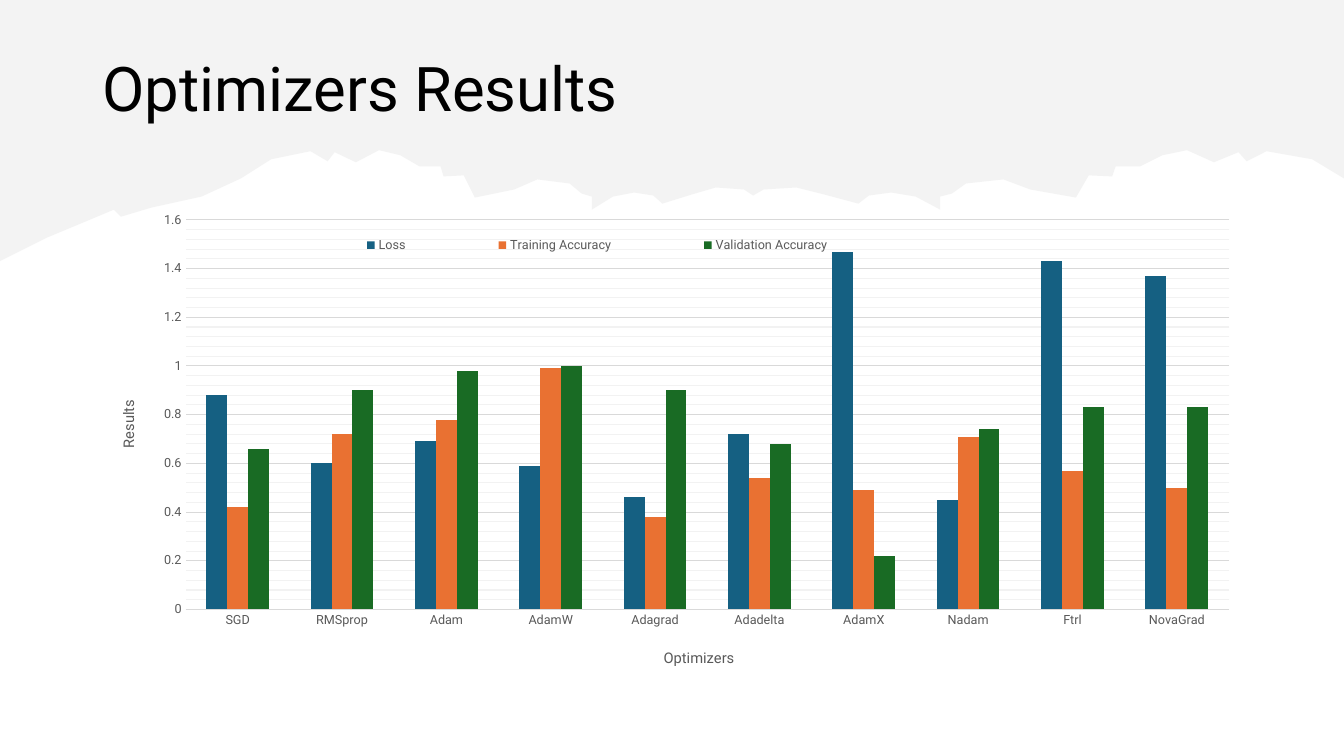
from dataclasses import dataclass

import pptx
import pptx.chart.data
import pptx.dml.color
import pptx.enum.chart
import pptx.enum.text
import pptx.oxml
import pptx.oxml.ns
import pptx.util
from lxml import etree

FONT = "Roboto"
GRAY = "595959"
GRID = "D9D9D9"
MINOR_GRID = "F2F2F2"
SLIDE_WIDTH = 13.33
SLIDE_HEIGHT = 7.5
MIRROR_X = 7.47
MIRROR_STRETCH = 1.16

OPTIMIZERS = ["SGD", "RMSprop", "Adam", "AdamW", "Adagrad",
              "Adadelta", "AdamX", "Nadam", "Ftrl", "NovaGrad"]


@dataclass
class Measure:
    name: str
    color: str
    values: list[float]


@dataclass
class Placement:
    x: float
    y: float
    width: float | None = None
    height: float | None = None


MEASURES = [
    Measure("Loss", "156082", [0.88, 0.6, 0.69, 0.59, 0.46, 0.72, 1.47, 0.45, 1.43, 1.37]),
    Measure("Training Accuracy", "E97132", [0.42, 0.72, 0.78, 0.99, 0.38, 0.54, 0.49, 0.71, 0.57, 0.5]),
    Measure("Validation Accuracy", "196B24", [0.66, 0.9, 0.98, 1, 0.9, 0.68, 0.22, 0.74, 0.83, 0.83]),
]

SLOPE = [(0, 2.59), (0.46, 2.36), (0.82, 2.21), (1.13, 2.08), (1.2, 2.15), (1.5, 2.06), (2, 1.95)]
RIDGE = [
    (2.39, 1.77), (2.69, 1.58), (3.08, 1.5), (3.25, 1.6), (3.32, 1.51), (3.53, 1.61),
    (3.76, 1.49), (3.97, 1.54), (4.16, 1.65), (4.37, 1.65), (4.4, 1.75), (4.6, 1.74),
    (4.71, 1.96), (5.1, 1.88), (5.33, 1.78), (5.65, 1.82), (5.77, 1.92), (5.87, 1.95),
    (5.87, 2.08), (6.08, 1.95), (6.29, 1.91), (6.48, 1.94), (6.57, 2.02), (6.86, 1.93),
    (7.1, 1.86), (7.38, 1.88),
]


def inches(value: float) -> pptx.util.Length:
    return pptx.util.Cm(value * 2.54)


def rgb(color: str) -> pptx.dml.color.RGBColor:
    return pptx.dml.color.RGBColor.from_string(color)


def set_fill(fill, color: str) -> None:
    fill.solid()
    fill.fore_color.rgb = rgb(color)


def set_font(font, size: float, color: str) -> None:
    font.name = FONT
    font.size = pptx.util.Pt(size)
    font.bold = False
    font.color.rgb = rgb(color)


def set_line(line, color: str) -> None:
    set_fill(line.fill, color)
    line.width = pptx.util.Pt(0.75)


def band_outline() -> list[tuple[float, float]]:
    mirrored = [(min(SLIDE_WIDTH, MIRROR_X + MIRROR_STRETCH * (MIRROR_X - x)), y)
                for x, y in reversed(RIDGE)]
    return SLOPE + RIDGE + [(MIRROR_X, 1.94)] + mirrored + [(SLIDE_WIDTH, 0), (0, 0)]


def add_torn_band(slide) -> None:
    points = [(inches(x), inches(y)) for x, y in band_outline()]
    builder = slide.shapes.build_freeform(*points[0])
    builder.add_line_segments(points[1:], close=True)
    shape = builder.convert_to_shape()
    shape.shadow.inherit = False
    shape.line.fill.background()
    set_fill(shape.fill, "E8E8E8")
    color = shape._element.spPr.find(".//" + pptx.oxml.ns.qn("a:srgbClr"))
    etree.SubElement(color, pptx.oxml.ns.qn("a:alpha"), val="50000")


def add_title(slide, text: str) -> None:
    shape = slide.shapes.add_textbox(inches(0.92), inches(0.4), inches(11.5), inches(1.02))
    frame = shape.text_frame
    frame.word_wrap = True
    frame.vertical_anchor = pptx.enum.text.MSO_ANCHOR.MIDDLE
    paragraph = frame.paragraphs[0]
    paragraph.line_spacing = 0.9
    run = paragraph.add_run()
    run.text = text
    set_font(run.font, 44, "000000")


def place(element, index: int, placement: Placement) -> None:
    for old_layout in element.findall(pptx.oxml.ns.qn("c:layout")):
        element.remove(old_layout)
    layout = etree.Element(pptx.oxml.ns.qn("c:layout"))
    manual = etree.SubElement(layout, pptx.oxml.ns.qn("c:manualLayout"))
    settings = [("xMode", "edge"), ("yMode", "edge"), ("x", placement.x), ("y", placement.y),
                ("w", placement.width), ("h", placement.height)]
    if element.tag == pptx.oxml.ns.qn("c:plotArea"):
        settings.insert(0, ("layoutTarget", "inner"))
    for name, value in settings:
        if value is not None:
            etree.SubElement(manual, pptx.oxml.ns.qn("c:" + name), val=str(value))
    element.insert(index, layout)


def style_axis(axis, title: str, placement: Placement) -> None:
    axis.major_tick_mark = axis.minor_tick_mark = pptx.enum.chart.XL_TICK_MARK.NONE
    set_font(axis.tick_labels.font, 9, GRAY)
    run = axis.axis_title.text_frame.paragraphs[0].add_run()
    run.text = title
    set_font(run.font, 10.5, GRAY)
    place(axis.axis_title._element, 1, placement)


def style_gridlines(axis) -> None:
    axis.minimum_scale, axis.maximum_scale = 0, 1.6
    axis.major_unit, axis.minor_unit = 0.2, 0.04
    axis.has_major_gridlines = axis.has_minor_gridlines = True
    set_line(axis.major_gridlines.format.line, GRID)
    minor = axis._element.find(pptx.oxml.ns.qn("c:minorGridlines"))
    minor.append(pptx.oxml.parse_xml(
        f'<c:spPr {pptx.oxml.ns.nsdecls("c", "a")}><a:ln w="9525"><a:solidFill>'
        f'<a:srgbClr val="{MINOR_GRID}"/></a:solidFill></a:ln></c:spPr>'))


def add_results_chart(slide) -> None:
    data = pptx.chart.data.CategoryChartData()
    data.categories = OPTIMIZERS
    for measure in MEASURES:
        data.add_series(measure.name, measure.values)
    chart = slide.shapes.add_chart(pptx.enum.chart.XL_CHART_TYPE.COLUMN_CLUSTERED, inches(0.92),
                                   inches(1.73), inches(11.5), inches(5.02), data).chart
    chart.has_title = False
    set_font(chart.font, 10, "000000")
    plot = chart.plots[0]
    plot.gap_width, plot.overlap, plot.vary_by_categories = 199, 0, False
    for series, measure in zip(plot.series, MEASURES):
        set_fill(series.format.fill, measure.color)
    style_axis(chart.category_axis, "Optimizers", Placement(0.49, 0.93))
    style_axis(chart.value_axis, "Results", Placement(0.02, 0.44))
    set_line(chart.category_axis.format.line, GRID)
    chart.value_axis.format.line.fill.background()
    style_gridlines(chart.value_axis)
    chart.has_legend = True
    chart.legend.position = pptx.enum.chart.XL_LEGEND_POSITION.TOP
    chart.legend.include_in_layout = False
    set_font(chart.legend.font, 9, GRAY)
    place(chart.legend._element, 1, Placement(0.16, 0.11, 0.55, 0.06))
    place(chart._chartSpace.chart.plotArea, 0, Placement(0.08, 0.09, 0.9, 0.77))


def main() -> None:
    presentation = pptx.Presentation()
    presentation.slide_width, presentation.slide_height = inches(SLIDE_WIDTH), inches(SLIDE_HEIGHT)
    slide = presentation.slides.add_slide(presentation.slide_layouts[6])
    add_torn_band(slide)
    add_title(slide, "Optimizers Results")
    add_results_chart(slide)
    presentation.save("out.pptx")


if __name__ == "__main__":
    main()
